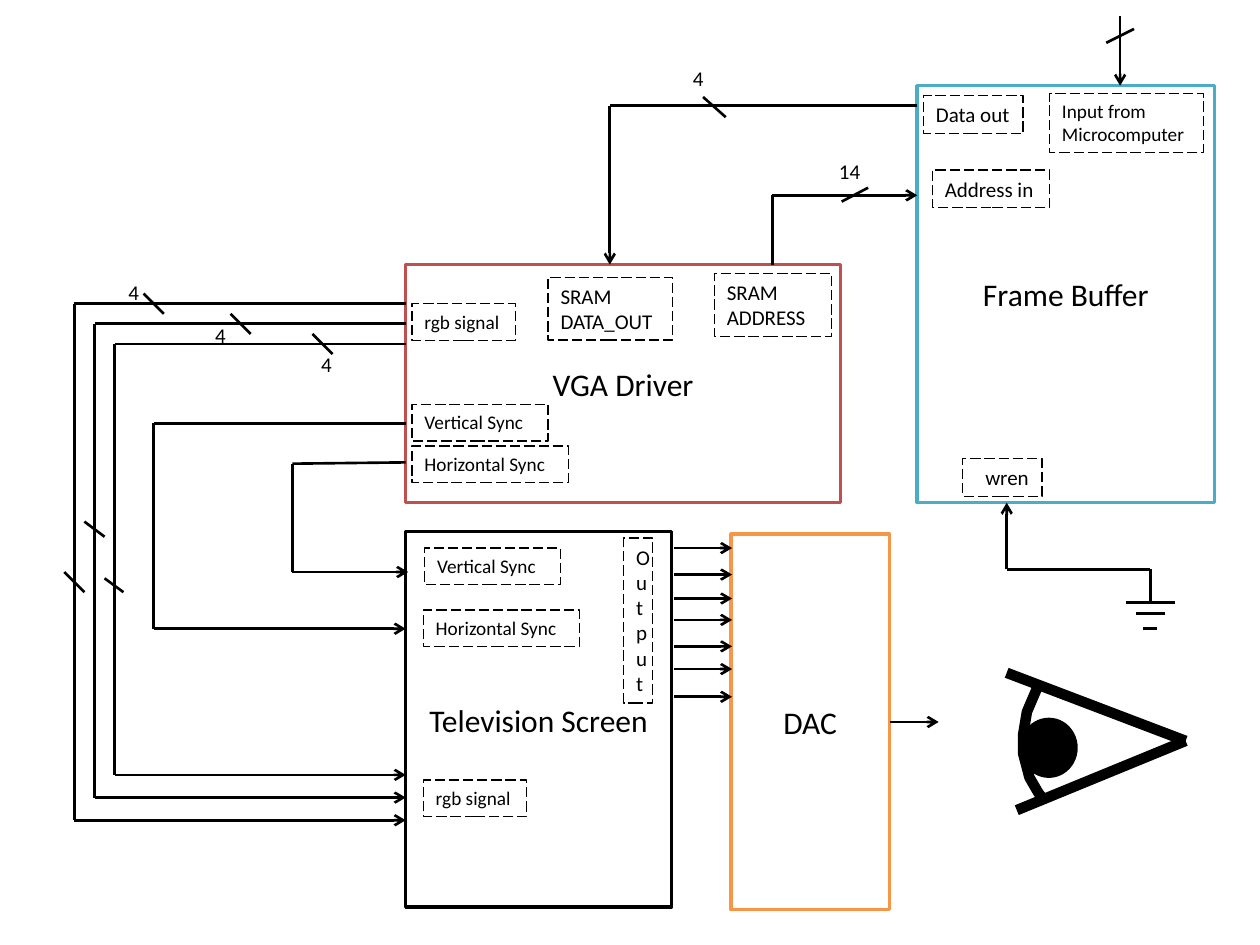
from itertools import pairwise

from lxml.etree import SubElement
from pptx import Presentation
from pptx.dml.color import RGBColor
from pptx.enum.dml import MSO_LINE
from pptx.enum.shapes import MSO_CONNECTOR, MSO_SHAPE
from pptx.enum.text import MSO_ANCHOR, MSO_AUTO_SIZE, PP_ALIGN
from pptx.oxml.ns import qn
from pptx.util import Inches, Pt

COLORS = {
    "black": "000000",
    "white": "FFFFFF",
    "red": "C0504D",
    "orange": "F79646",
    "teal": "4BACC6",
}
BLOCKS = [
    ("VGA Driver", 3.22, 2.1, 3.45, 1.89, "red"),
    ("Television Screen", 3.22, 4.22, 2.11, 2.98, "black"),
    ("DAC", 5.8, 4.24, 1.26, 2.98, "orange"),
    ("Frame Buffer", 7.28, 0.68, 2.36, 3.31, "teal"),
]
PORTS = [
    ("Output", 4.95, 4.27, 0.23, 1.31, 12),
    ("Input from Microcomputer", 8.33, 0.74, 1.22, 0.47, 11),
    ("SRAM ADDRESS", 5.67, 2.17, 0.93, 0.5, 12),
    ("SRAM DATA_OUT", 4.35, 2.2, 0.99, 0.5, 12),
    ("Address in", 7.4, 1.35, 0.93, 0.3, 12),
    ("Data out", 7.33, 0.76, 0.79, 0.3, 12),
    ("rgb signal", 3.27, 2.41, 0.82, 0.29, 11),
    ("rgb signal", 3.36, 6.19, 0.82, 0.29, 11),
    ("Vertical Sync", 3.27, 3.21, 1.08, 0.29, 11),
    ("Vertical Sync", 3.37, 4.35, 1.08, 0.29, 11),
    ("Horizontal Sync", 3.27, 3.54, 1.24, 0.29, 11),
    ("Horizontal Sync", 3.36, 4.84, 1.24, 0.29, 11),
]
BUS_WIDTHS = [
    ("4", 5.4, 0.47, 0.35),
    ("14", 6.56, 1.21, 0.5),
    ("4", 2.45, 2.74, 0.35),
    ("4", 0.92, 2.17, 0.35),
    ("4", 1.61, 2.51, 0.35),
]
SIGNALS = [
    [(7.06, 5.73), (7.45, 5.73)],
    [(8.89, 0.13), (8.89, 0.68)],
    [(7.28, 0.84), (4.84, 0.84), (4.84, 2.1)],
    [(6.13, 2.1), (6.13, 1.55), (7.28, 1.55)],
    [(3.22, 3.67), (2.32, 3.68), (2.32, 4.54), (3.24, 4.54)],
    [(3.22, 3.36), (1.22, 3.36), (1.22, 4.99), (3.22, 4.99)],
    [(9.13, 4.78), (9.13, 4.52), (7.99, 4.52), (7.99, 3.99)],
]
DAC_INPUTS = [4.35, 4.56, 4.75, 4.92, 5.13, 5.31, 5.53]
BUS_SLASHES = [
    [(8.78, 0.34), (9, 0.23)],
    [(6.68, 1.6), (6.89, 1.49)],
    [(5.58, 0.77), (5.76, 0.93)],
    [(1.14, 2.33), (1.3, 2.49)],
    [(1.83, 2.49), (1.99, 2.65)],
    [(2.48, 2.65), (2.64, 2.81)],
    [(0.51, 4.54), (0.67, 4.7)],
    [(0.67, 4.14), (0.83, 4.26)],
    [(0.83, 4.59), (0.98, 4.7)],
]
GROUND_BARS = [(4.78, 0.39), (4.87, 0.23), (4.99, 0.11)]
CORNEA = [(8.24, 5.44), (8.15, 5.65), (8.12, 5.83), (8.12, 5.98),
          (8.17, 6.17), (8.24, 6.29), (8.27, 6.33)]


def color(name):
    """Return the named colour."""
    return RGBColor.from_string(COLORS[name])


def paint(shape, fill, line, width):
    """Give a shape its fill and outline, without a shadow."""
    shape.shadow.inherit = False
    shape.fill.solid()
    shape.fill.fore_color.rgb = color(fill)
    shape.line.color.rgb = color(line)
    shape.line.width = Pt(width)


def write(box, text, size):
    """Set the text of a box in black Calibri."""
    frame = box.text_frame
    frame.word_wrap = True
    frame.text = text
    font = frame.paragraphs[0].runs[0].font
    font.name = "Calibri"
    font.size = Pt(size)
    font.color.rgb = color("black")
    return frame


def add_block(page, name, left, top, width, height, outline):
    """Add a component with its name in the middle."""
    block = page.shapes.add_shape(MSO_SHAPE.RECTANGLE, Inches(left), Inches(top),
                                  Inches(width), Inches(height))
    paint(block, "white", outline, 2)
    frame = write(block, name, 18)
    frame.vertical_anchor = MSO_ANCHOR.MIDDLE
    frame.paragraphs[0].alignment = PP_ALIGN.CENTER


def add_label(page, text, left, top, width, height=0.3, size=12):
    """Add a plain text label."""
    label = page.shapes.add_textbox(Inches(left), Inches(top), Inches(width), Inches(height))
    write(label, text, size).auto_size = MSO_AUTO_SIZE.SHAPE_TO_FIT_TEXT
    return label


def add_port(page, *place):
    """Add a label with a dashed outline."""
    port = add_label(page, *place)
    port.line.color.rgb = color("black")
    port.line.width = Pt(0.75)
    port.line.dash_style = MSO_LINE.LONG_DASH
    return port


def add_wire(page, points, arrow=False, width=1.5):
    """Join points with straight lines, with an optional arrow at the end."""
    for start, end in pairwise(points):
        line = page.shapes.add_connector(MSO_CONNECTOR.STRAIGHT,
                                         *map(Inches, start), *map(Inches, end))
        line.line.color.rgb = color("black")
        line.line.width = Pt(width)
        SubElement(line._element.spPr, qn("a:effectLst"))
    if arrow:
        SubElement(line.line._get_or_add_ln(), qn("a:tailEnd"), type="arrow")


def add_eye(page):
    """Draw the viewer's eye."""
    add_wire(page, [(7.99, 5.34), (9.41, 5.88), (8.07, 6.43)], width=6)
    points = [(Inches(x), Inches(y)) for x, y in CORNEA]
    outline = page.shapes.build_freeform(*points[0])
    outline.add_line_segments(points[1:], close=False)
    paint(outline.convert_to_shape(), "white", "black", 6)
    pupil = page.shapes.add_shape(MSO_SHAPE.OVAL, Inches(8.11), Inches(5.71),
                                  Inches(0.43), Inches(0.45))
    paint(pupil, "black", "black", 2)


def main():
    """Build the video circuit diagram."""
    deck = Presentation()
    deck.slide_width, deck.slide_height = Inches(10), Inches(7.5)
    page = deck.slides.add_slide(deck.slide_layouts[6])
    for block in BLOCKS:
        add_block(page, *block)
    for port in PORTS:
        add_port(page, *port)
    write_enable = add_port(page, "wren", 7.64, 3.64, 0.63)
    write_enable.text_frame.margin_left = Inches(0.18)
    for bus_width in BUS_WIDTHS:
        add_label(page, *bus_width)
    for signal in SIGNALS:
        add_wire(page, signal, arrow=True)
    for y in DAC_INPUTS:
        add_wire(page, [(5.35, y), (5.81, y)], arrow=True)
    for index in range(3):
        x, top, bottom = 0.59 + 0.16 * index, 2.41 + 0.16 * index, 6.51 - 0.18 * index
        add_wire(page, [(3.22, top), (x, top), (x, bottom), (3.22, bottom)], arrow=True)
    for slash in BUS_SLASHES:
        add_wire(page, slash)
    for y, length in GROUND_BARS:
        add_wire(page, [(9.13 - length / 2, y), (9.13 + length / 2, y)])
    add_eye(page)
    deck.save("out.pptx")


main()
